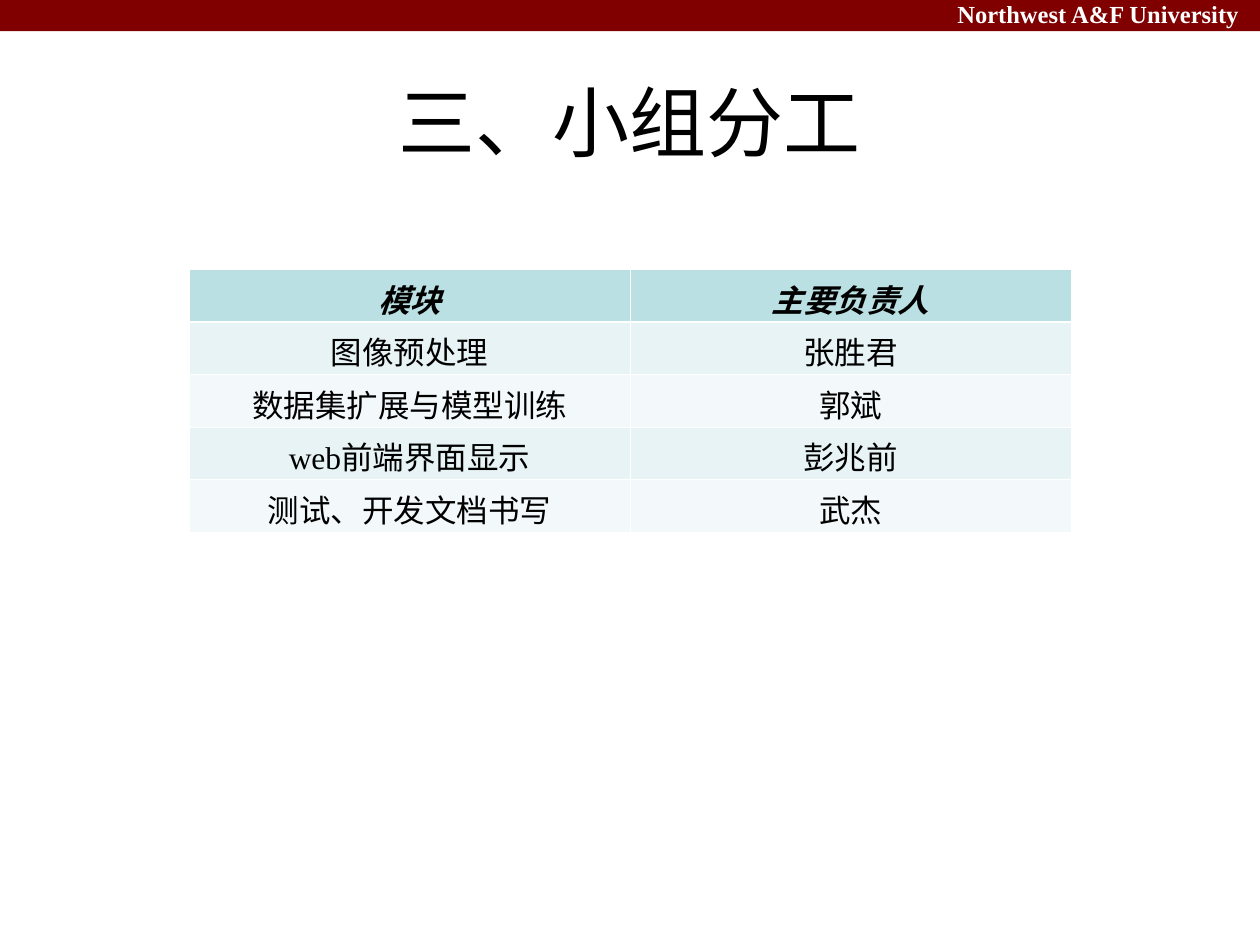
from lxml.etree import SubElement
from pptx import Presentation
from pptx.dml.color import RGBColor
from pptx.enum.shapes import MSO_SHAPE
from pptx.enum.text import MSO_ANCHOR, PP_ALIGN
from pptx.oxml.ns import qn
from pptx.util import Cm, Pt

# Content
UNIVERSITY = "Northwest A&F University"
TITLE = "三、小组分工"
ROWS = [
    ("模块", "主要负责人"),
    ("图像预处理", "张胜君"),
    ("数据集扩展与模型训练", "郭斌"),
    ("web前端界面显示", "彭兆前"),
    ("测试、开发文档书写", "武杰"),
]

# Style
FONT = "Times New Roman"
COLORS = {
    "banner": "800000", "white": "FFFFFF", "text": "000000",
    "header": "BBE0E3", "odd": "E7F3F4", "even": "F3F9FA",
}
THIN, THICK = Pt(0.45), Pt(1.47)
COLUMN_WIDTH, ROW_HEIGHT = Cm(8.89), Cm(1.06)


def color(name):
    return RGBColor.from_string(COLORS[name])


def write(frame, text, size, color_name="text", align=PP_ALIGN.CENTER, bold=False, italic=False):
    frame.text = text
    para = frame.paragraphs[0]
    para.alignment = align
    font = para.runs[0].font
    font.name, font.size, font.bold, font.italic = FONT, Pt(size), bold, italic
    font.color.rgb = color(color_name)


def add_text(page, place, text, size, anchor=MSO_ANCHOR.TOP, **style):
    frame = page.shapes.add_textbox(*map(Cm, place)).text_frame
    frame.word_wrap = True
    frame.vertical_anchor = anchor
    write(frame, text, size, **style)


def add_borders(cell, row):
    top = THICK if row == 1 else THIN
    bottom = THICK if row == 0 else THIN
    properties = cell._tc.get_or_add_tcPr()
    for tag, width in (("lnL", THIN), ("lnR", THIN), ("lnT", top), ("lnB", bottom)):
        line = SubElement(properties, qn(f"a:{tag}"), w=str(width))
        fill = SubElement(line, qn("a:solidFill"))
        SubElement(fill, qn("a:srgbClr"), val=COLORS["white"])


def row_fill(row):
    if row == 0:
        return "header"
    return "odd" if row % 2 else "even"


deck = Presentation()
deck.slide_width, deck.slide_height = Cm(25.4), Cm(19.05)
page = deck.slides.add_slide(deck.slide_layouts[6])

# Banner with the university name
banner = page.shapes.add_shape(MSO_SHAPE.RECTANGLE, 0, 0, deck.slide_width, Cm(0.63))
banner.shadow.inherit = False
banner.fill.solid()
banner.fill.fore_color.rgb = color("banner")
banner.line.fill.background()
add_text(page, (19.05, -0.15, 6.99, 0.86), UNIVERSITY, 14,
         color_name="white", align=PP_ALIGN.LEFT, bold=True)

# Title
add_text(page, (1.27, 0.84, 22.86, 3.18), TITLE, 44, anchor=MSO_ANCHOR.MIDDLE)

# Table of modules and the people in charge
column_count = len(ROWS[0])
table_width = COLUMN_WIDTH * column_count
table = page.shapes.add_table(
    len(ROWS), column_count, (deck.slide_width - table_width) // 2, Cm(5.43),
    table_width, ROW_HEIGHT * len(ROWS)).table
for column in table.columns:
    column.width = COLUMN_WIDTH
for row, texts in enumerate(ROWS):
    table.rows[row].height = ROW_HEIGHT
    for column, text in enumerate(texts):
        cell = table.cell(row, column)
        add_borders(cell, row)
        cell.fill.solid()
        cell.fill.fore_color.rgb = color(row_fill(row))
        write(cell.text_frame, text, 18, bold=row == 0, italic=row == 0)

deck.save("out.pptx")
